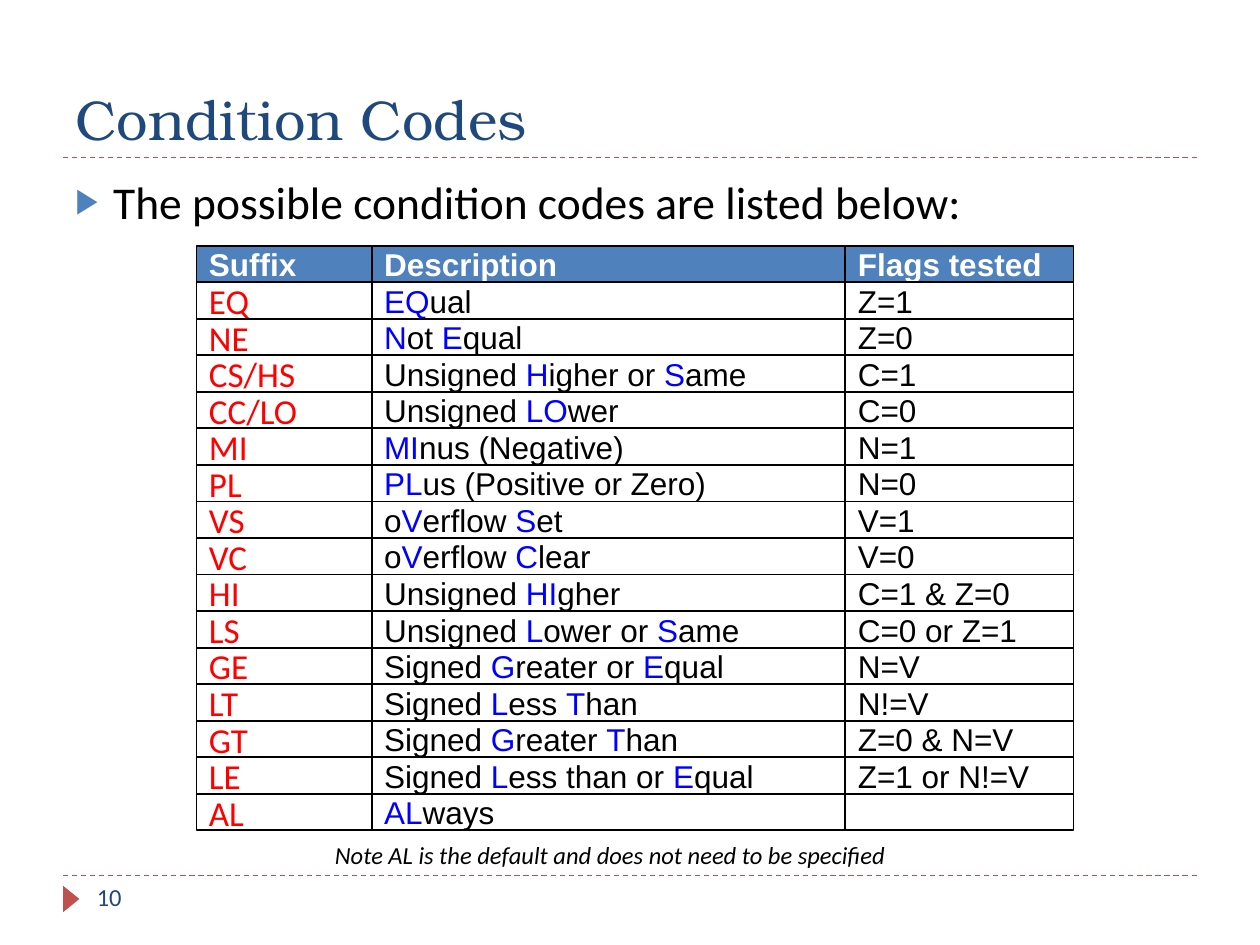
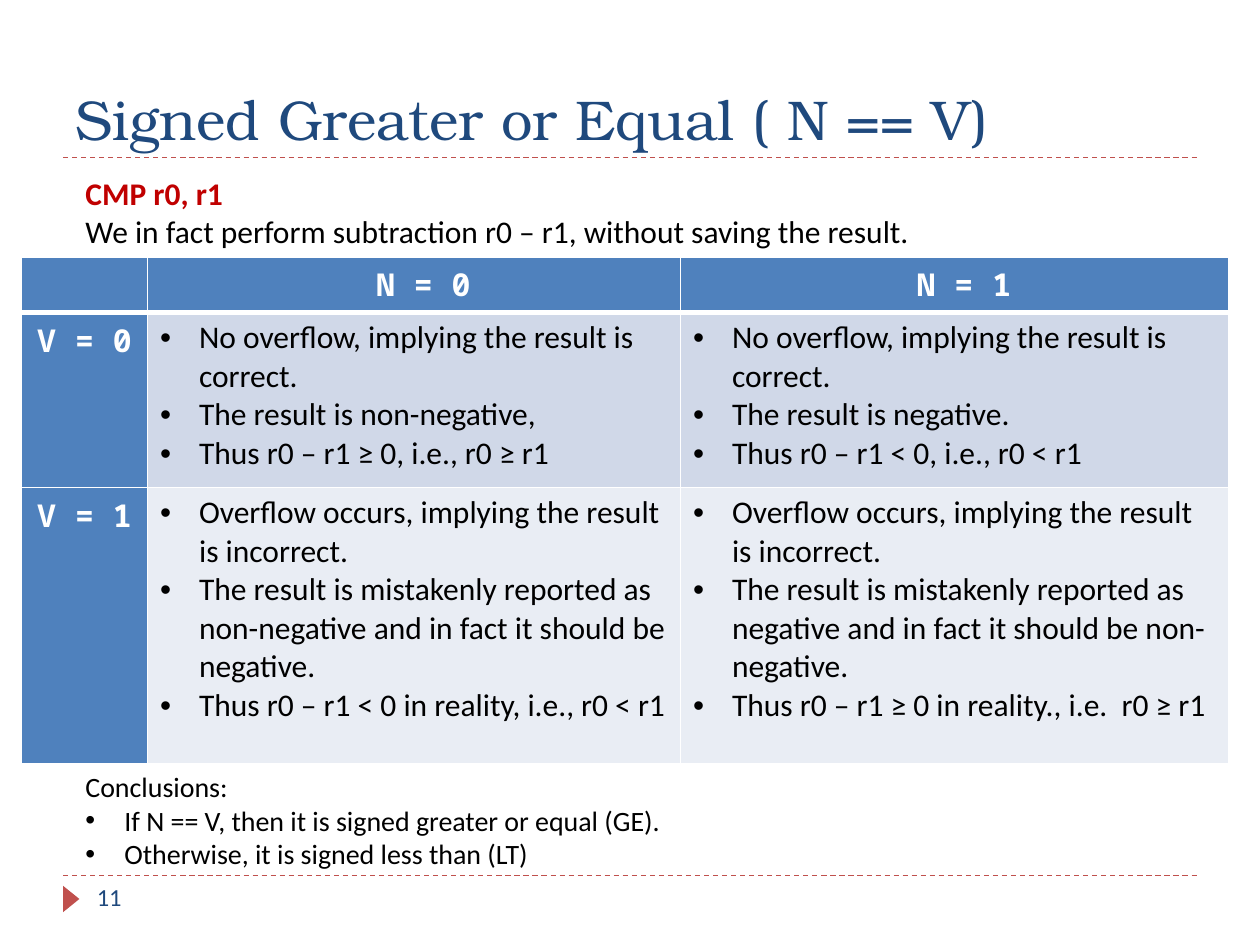
from itertools import accumulate

from lxml.etree import SubElement
from pptx import Presentation
from pptx.dml.color import RGBColor
from pptx.enum.dml import MSO_LINE
from pptx.enum.shapes import MSO_CONNECTOR, MSO_SHAPE
from pptx.enum.text import MSO_ANCHOR, PP_ALIGN
from pptx.oxml.ns import qn
from pptx.util import Pt

PX = 9144  # EMU per px, 100 px to the inch
NAVY, BLUE, BRICK = "1F497D", "4F81BD", "C0504D"
BLACK, WHITE, RED, DARK_RED, LETTER_BLUE = "000000", "FFFFFF", "FF0000", "C00000", "0000FF"

TITLE = dict(name="TeX Gyre Bonum", size=32, color=NAVY)
LEAD = dict(name="Calibri", size=26, color=BLACK)
BODY = dict(LEAD, size=18)
SMALL = dict(LEAD, size=16)
NOTE = dict(LEAD, size=14, italic=True)
NUMBER = dict(LEAD, size=14, color=NAVY)
COMMAND = dict(BODY, color=DARK_RED, bold=True)
SUFFIX = dict(LEAD, size=20, color=RED)
CELL = dict(name="Arial", size=18, color=BLACK)
HEAD = dict(CELL, color=WHITE, bold=True)
FLAG = dict(name="Noto Sans Mono", size=18, color=WHITE, bold=True)

# Letters between underscores make up the suffix
CODES = [
    ("Suffix", "Description", "Flags tested"),
    ("EQ", "_EQ_ual", "Z=1"),
    ("NE", "_N_ot _E_qual", "Z=0"),
    ("CS/HS", "Unsigned _H_igher or _S_ame", "C=1"),
    ("CC/LO", "Unsigned _LO_wer", "C=0"),
    ("MI", "_MI_nus (Negative)", "N=1"),
    ("PL", "_PL_us (Positive or Zero)", "N=0"),
    ("VS", "o_V_erflow _S_et", "V=1"),
    ("VC", "o_V_erflow _C_lear", "V=0"),
    ("HI", "Unsigned _HI_gher", "C=1 & Z=0"),
    ("LS", "Unsigned _L_ower or _S_ame", "C=0 or Z=1"),
    ("GE", "Signed _G_reater or _E_qual", "N=V"),
    ("LT", "Signed _L_ess _T_han", "N!=V"),
    ("GT", "Signed _G_reater _T_han", "Z=0 & N=V"),
    ("LE", "Signed _L_ess than or _E_qual", "Z=1 or N!=V"),
    ("AL", "_AL_ways", ""),
]
CODES_LEFT, CODES_TOP = 156, 195
CODES_COLS, CODES_ROW = (139, 376, 181), 29

CASES = [
    ("", BLUE, " N = 0", " N = 1"),
    ("V = 0", "D0D8E8",
     ["No overflow, implying the result is correct.",
      "The result is non-negative,",
      "Thus r0 – r1 ≥ 0, i.e., r0 ≥ r1"],
     ["No overflow, implying the result is correct.",
      "The result is negative.",
      "Thus r0 – r1 < 0, i.e., r0 < r1"]),
    ("V = 1", "E9EDF4",
     ["Overflow occurs, implying the result is incorrect.",
      "The result is mistakenly reported as non-negative and in fact it should be negative.",
      "Thus r0 – r1 < 0 in reality, i.e., r0 < r1"],
     ["Overflow occurs, implying the result is incorrect.",
      "The result is mistakenly reported as negative and in fact it should be non-negative.",
      "Thus r0 – r1 ≥ 0 in reality., i.e.  r0 ≥ r1"]),
]
CASES_COLS, CASES_ROWS = (100, 423, 435), (44, 139, 219)
CONCLUSIONS = ["If N == V, then it is signed greater or equal (GE).",
               "Otherwise, it is signed less than (LT)"]


def rgb(value):
    return RGBColor.from_string(value)


def px(*lengths):
    return [n * PX for n in lengths]


def set_fill(target, color):
    if color:
        target.fill.solid()
        target.fill.fore_color.rgb = rgb(color)
    else:
        target.fill.background()


def add_run(p, text, style):
    r = p.add_run()
    r.text = text
    for key, value in style.items():
        if key == "color":
            r.font.color.rgb = rgb(value)
        else:
            setattr(r.font, key, Pt(value) if key == "size" else value)


def indent(p, left, hang=0, char=None, color=None, percent=None):
    """Indent a paragraph and, if char is given, put that bullet before it."""
    pPr = p._p.get_or_add_pPr()
    pPr.set("marL", str(left * PX))
    pPr.set("indent", str(-hang * PX))
    if color:
        SubElement(SubElement(pPr, qn("a:buClr")), qn("a:srgbClr"), val=color)
    if percent:
        SubElement(pPr, qn("a:buSzPct"), val=str(percent * 1000))
    if char:
        SubElement(pPr, qn("a:buFont"), typeface="Arial")
        SubElement(pPr, qn("a:buChar"), char=char)


def fill_text(tf, lines):
    """Write (text, style, indent arguments) lines, one paragraph each."""
    for i, (text, style, dent) in enumerate(lines):
        p = tf.add_paragraph() if i else tf.paragraphs[0]
        if dent:
            indent(p, **dent)
        add_run(p, text, style)


def bulleted(texts, style):
    return [(t, style, dict(left=31, hang=31, char="•")) for t in texts]


def add_text(s, box, lines, anchor=MSO_ANCHOR.TOP):
    tf = s.shapes.add_textbox(*px(*box)).text_frame
    tf.word_wrap = True
    tf.vertical_anchor = anchor
    fill_text(tf, lines)


def add_rule(s, y):
    line = s.shapes.add_connector(MSO_CONNECTOR.STRAIGHT, *px(50, y, 950, y))
    line.line.color.rgb = rgb(BRICK)
    line.line.width = Pt(0.75)
    line.line.dash_style = MSO_LINE.DASH
    SubElement(line._element.spPr, qn("a:effectLst"))


def add_slide(prs, title, number):
    s = prs.slides.add_slide(prs.slide_layouts[6])
    for y in (695, 125):
        add_rule(s, y)
    marker = s.shapes.add_shape(MSO_SHAPE.ISOSCELES_TRIANGLE, *px(46, 707, 21, 13))
    marker.rotation = 90
    marker.shadow.inherit = False
    set_fill(marker, BRICK)
    marker.line.fill.background()
    add_text(s, (50, 17, 900, 108), [(title, TITLE, None)], MSO_ANCHOR.BOTTOM)
    add_text(s, (67, 695, 217, 40), [(number, NUMBER, None)])
    return s


def add_code_box(s, box, text, style, fill):
    """Add one outlined box; letters between underscores turn blue."""
    sp = s.shapes.add_shape(MSO_SHAPE.RECTANGLE, *px(*box))
    sp.shadow.inherit = False
    set_fill(sp, fill)
    sp.line.color.rgb = rgb(BLACK)
    sp.line.width = Pt(1)
    tf = sp.text_frame
    tf.word_wrap = False
    tf.vertical_anchor = MSO_ANCHOR.MIDDLE
    p = tf.paragraphs[0]
    p.alignment = PP_ALIGN.LEFT
    for k, part in enumerate(text.split("_")):
        if part:
            add_run(p, part, dict(style, color=LETTER_BLUE) if k % 2 else style)


def add_codes(s):
    lefts = list(accumulate(CODES_COLS, initial=CODES_LEFT))
    for i, row in enumerate(CODES):
        for j, text in enumerate(row):
            box = (lefts[j], CODES_TOP + i * CODES_ROW, CODES_COLS[j], CODES_ROW)
            style = HEAD if i == 0 else SUFFIX if j == 0 else CELL
            add_code_box(s, box, text, style, None if i else BLUE)


def format_cell(cell, fill, top, bottom):
    """Set white borders (top and bottom widths in points), then the fill."""
    tcPr = cell._tc.get_or_add_tcPr()
    for side, width in (("L", 1), ("R", 1), ("T", top), ("B", bottom)):
        ln = SubElement(tcPr, qn("a:ln" + side), w=str(Pt(width)))
        SubElement(SubElement(ln, qn("a:solidFill")), qn("a:srgbClr"), val=WHITE)
    set_fill(cell, fill)


def add_cases_table(s):
    table = s.shapes.add_table(
        len(CASES_ROWS), len(CASES_COLS),
        *px(17, 204, sum(CASES_COLS), sum(CASES_ROWS))).table
    table.first_row = table.horz_banding = False
    for col, width in zip(table.columns, CASES_COLS):
        col.width = width * PX
    for row, height in zip(table.rows, CASES_ROWS):
        row.height = height * PX
    for i, (label, fill, *cases) in enumerate(CASES):
        for j, content in enumerate([label] + cases):
            cell = table.cell(i, j)
            format_cell(cell, fill if j else BLUE,
                        top=3 if i == 1 else 1, bottom=1 if i else 3)
            if i and j:
                fill_text(cell.text_frame, bulleted(content, BODY))
            else:
                fill_text(cell.text_frame, [(content, FLAG, None)])
                cell.text_frame.paragraphs[0].alignment = PP_ALIGN.CENTER


def main():
    prs = Presentation()
    prs.slide_width, prs.slide_height = px(1000, 750)

    s = add_slide(prs, "Condition Codes", "10")
    add_text(s, (50, 133, 900, 540), [
        ("The possible condition codes are listed below:", LEAD,
         dict(left=30, hang=30, char="▶", color=BLUE, percent=76))])
    add_codes(s)
    add_text(s, (156, 662, 703, 34), [
        ("Note AL is the default and does not need to be specified", NOTE, dict(left=100))])

    s = add_slide(prs, "Signed Greater or Equal ( N == V)", "11")
    add_cases_table(s)
    add_text(s, (58, 133, 684, 71), [
        ("CMP r0, r1", COMMAND, None),
        ("We in fact perform subtraction r0 – r1, without saving the result.", BODY, None)])
    add_text(s, (58, 606, 700, 94),
             [("Conclusions:", SMALL, None)] + bulleted(CONCLUSIONS, SMALL))

    prs.save("out.pptx")


if __name__ == "__main__":
    main()
